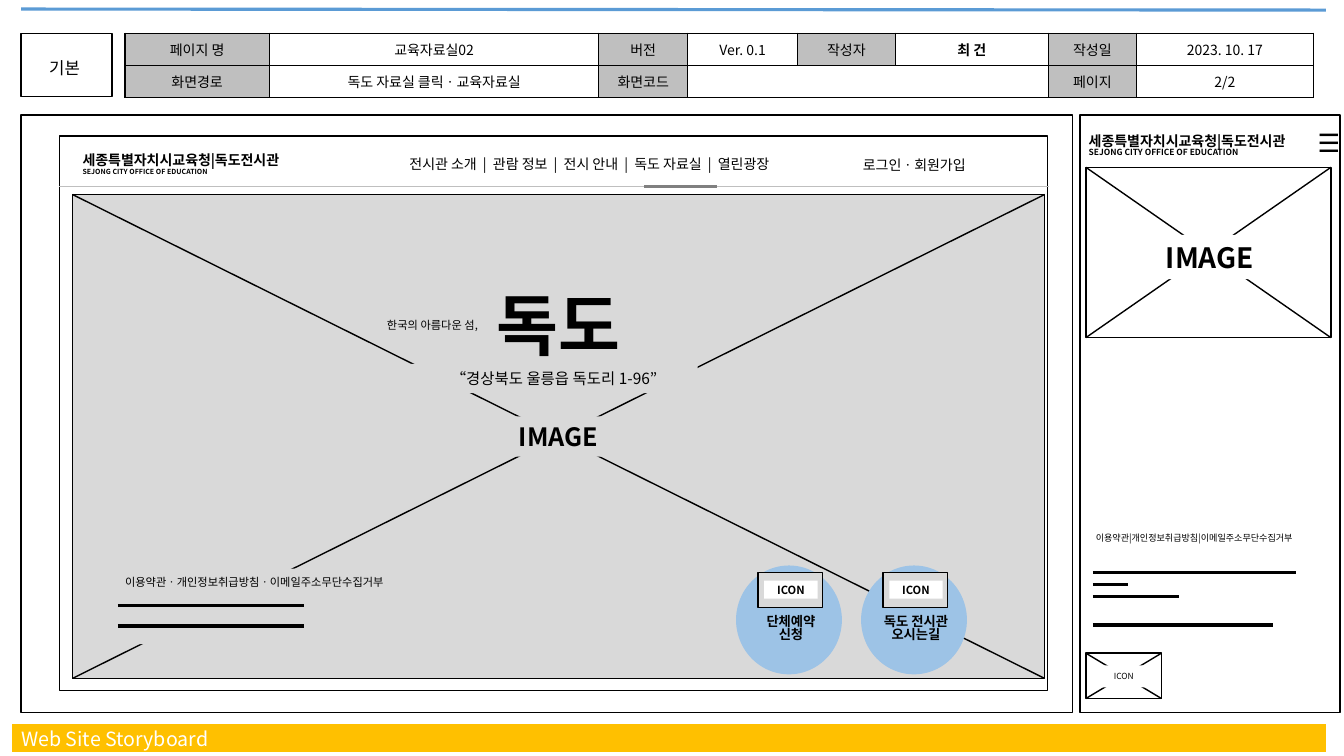
import dataclasses
import itertools

import lxml.etree
import pptx
import pptx.dml.color
import pptx.enum.shapes
import pptx.enum.text
import pptx.oxml
import pptx.oxml.ns
import pptx.util


@dataclasses.dataclass(frozen=True)
class Theme:
    font: str = "Noto Sans CJK KR"
    ink: str = "000000"
    paper: str = "FFFFFF"
    canvas: str = "D9D9D9"
    heading: str = "BFBFBF"
    active: str = "808080"
    button: str = "9DC3E6"
    top_rule: str = "5B9BD5"
    footer: str = "FFC000"
    thin: float = 0.5
    outline: float = 1
    bold_line: float = 2.25
    band: float = 20
    micro: float = 5
    tiny: float = 6
    legal: float = 6.5
    small: float = 8
    caption: float = 9.5
    body: float = 10
    address: float = 11
    mode: float = 12
    title: float = 14
    picture: float = 18
    mobile_picture: float = 20
    hero: float = 48
    tight: float = 0.85


theme = Theme()

storyboard = "Web Site Storyboard"
mode = "기본"
page_info = [
    ["페이지 명", "교육자료실02", "버전", "Ver. 0.1", "작성자", "최 건", "작성일", "2023. 10. 17"],
    ["화면경로", "독도 자료실 클릭ㆍ교육자료실", "화면코드", "", "", "", "페이지", "2/2"],
]
page_info_edges = [1.24, 2.67, 5.94, 6.82, 7.91, 8.88, 10.4, 11.27, 13.03]
page_info_headings = {(0, 0), (0, 2), (0, 4), (0, 6), (1, 0), (1, 2), (1, 6)}
author = (0, 5)

site_name = "세종특별자치시교육청|독도전시관"
site_english = "SEJONG CITY OFFICE OF EDUCATION"
menu = ["전시관 소개", "관람 정보", "전시 안내", "독도 자료실", "열린광장"]
account = "로그인ㆍ회원가입"
policies = ["이용약관", "개인정보취급방침", "이메일주소무단수집거부"]
hero_labels = [
    ("IMAGE", (3.78, 4.13, 3.52, 0.4), theme.picture, True),
    ("독도", (4.67, 2.76, 1.74, 0.91), theme.hero, True),
    ("한국의 아름다운 섬,", (3.69, 3.1, 1.2, 0.24), theme.small, False),
    ("“경상북도 울릉읍 독도리 1-96”", (4.07, 3.61, 2.85, 0.29), theme.address, False),
]
buttons = [["단체예약", "신청"], ["독도 전시관", "오시는길"]]
desktop_footer_lines = [(6.01, 1.85), (6.21, 1.85)]
mobile_footer_lines = [(5.68, 2.01), (5.8, 0.35), (5.92, 0.85), (6.2, 1.79)]

deck = pptx.Presentation()
deck.slide_width = pptx.util.Inches(13.33)
deck.slide_height = pptx.util.Inches(7.5)
slide = deck.slides.add_slide(deck.slide_layouts[5])
shapes = slide.shapes
Align = pptx.enum.text.PP_ALIGN
Shape = pptx.enum.shapes.MSO_SHAPE


def rgb(color):
    return pptx.dml.color.RGBColor.from_string(color)


def inches(box):
    return [pptx.util.Inches(length) for length in box]


def write(frame, lines, align=Align.CENTER, color=theme.ink, spacing=None):
    frame.word_wrap = True
    for index, (words, size, bold) in enumerate(lines):
        paragraph = frame.add_paragraph() if index else frame.paragraphs[0]
        paragraph.alignment = align
        if spacing:
            paragraph.line_spacing = spacing
        run = paragraph.add_run()
        run.text = words
        run.font.size = pptx.util.Pt(size)
        run.font.bold = bold
        run.font.name = theme.font
        run.font.color.rgb = rgb(color)
        east_asian = lxml.etree.SubElement(run.font._element, pptx.oxml.ns.qn("a:ea"))
        east_asian.set("typeface", theme.font)


def label(box, lines, align=Align.CENTER, spacing=None):
    text = shapes.add_textbox(*inches(box)).text_frame
    text.vertical_anchor = pptx.enum.text.MSO_ANCHOR.MIDDLE
    write(text, lines, align, spacing=spacing)


def panel(box, fill=theme.paper, outlined=True, kind=Shape.RECTANGLE):
    area = shapes.add_shape(kind, *inches(box))
    area.shadow.inherit = False
    area.fill.solid()
    area.fill.fore_color.rgb = rgb(fill)
    if outlined:
        area.line.color.rgb = rgb(theme.ink)
        area.line.width = pptx.util.Pt(theme.outline)
    else:
        area.line.fill.background()
    return area


def patch(box, words, size, bold=False, fill=theme.paper, align=Align.CENTER):
    write(panel(box, fill, False).text_frame, [(words, size, bold)], align)


def line(left, top, right, bottom, color=theme.ink, width=theme.outline):
    stroke = shapes.add_connector(
        pptx.enum.shapes.MSO_CONNECTOR.STRAIGHT, *inches((left, top, right, bottom)))
    stroke.line.color.rgb = rgb(color)
    stroke.line.width = pptx.util.Pt(width)
    lxml.etree.SubElement(stroke._element.spPr, pptx.oxml.ns.qn("a:effectLst"))


def crossed(box, fill=theme.paper):
    left, top, width, height = box
    panel(box, fill)
    line(left, top, left + width, top + height)
    line(left, top + height, left + width, top)


def text_bars(left, bars):
    for top, length in bars:
        line(left, top, left + length, top, width=theme.bold_line)


def fill_cell(cell, words, heading, bold):
    for side in ("L", "R", "T", "B"):
        cell._tc.get_or_add_tcPr().append(pptx.oxml.parse_xml(
            f'<a:ln{side} {pptx.oxml.ns.nsdecls("a")} w="{pptx.util.Pt(theme.outline)}">'
            f'<a:solidFill><a:srgbClr val="{theme.ink}"/></a:solidFill></a:ln{side}>'))
    cell.fill.solid()
    cell.fill.fore_color.rgb = rgb(theme.heading if heading else theme.paper)
    cell.margin_top = cell.margin_bottom = 0
    cell.margin_left = cell.margin_right = pptx.util.Inches(0.05)
    cell.vertical_anchor = pptx.enum.text.MSO_ANCHOR.MIDDLE
    write(cell.text_frame, [(words, theme.body, bold)] if words else [])
    if not words:
        cell.text_frame.paragraphs[0].font.size = pptx.util.Pt(theme.body)


def page_info_table():
    left, right = page_info_edges[0], page_info_edges[-1]
    table = shapes.add_table(2, 8, *inches((left, 0.33, right - left, 0.64))).table
    table.first_row = table.horz_banding = False
    for column, (start, end) in zip(table.columns, itertools.pairwise(page_info_edges)):
        column.width = pptx.util.Inches(end - start)
    for row, entries in enumerate(page_info):
        table.rows[row].height = pptx.util.Inches(0.32)
        for column, words in enumerate(entries):
            place = (row, column)
            fill_cell(table.cell(row, column), words, place in page_info_headings, place == author)
    table.cell(1, 3).merge(table.cell(1, 5))


def site_heading(box, english_size):
    names = [(site_name, theme.body, True), (site_english, english_size, True)]
    label(box, names, Align.LEFT, theme.tight)


def desktop():
    panel((0.21, 1.14, 10.43, 5.93))
    panel((0.59, 1.35, 9.8, 5.5))
    site_heading((0.72, 1.46, 2.52, 0.35), theme.micro)
    crossed((0.72, 1.93, 9.64, 4.8), theme.canvas)
    label((3.62, 1.49, 4.45, 0.27), [("  |  ".join(menu), theme.body, False)])
    label((8.46, 1.5, 1.32, 0.27), [(account, theme.body, False)], Align.LEFT)
    panel((0.78, 5.64, 2.41, 0.75), theme.canvas, False)
    patch((0.94, 5.65, 3.17, 0.24), "ㆍ".join(policies), theme.small, fill=theme.canvas)
    text_bars(1.17, desktop_footer_lines)
    for words, box, size, bold in hero_labels:
        patch(box, words, size, bold, theme.canvas)
    for index, caption in enumerate(buttons):
        left = 7.3 + 1.24 * index
        panel((left, 5.61, 1.05, 1.08), theme.button, False, Shape.OVAL)
        label((left + 0.07, 6.03, 0.95, 0.42),
              [(words, theme.caption, True) for words in caption], spacing=theme.tight)
        panel((left + 0.22, 5.68, 0.64, 0.35), theme.canvas)
        patch((left + 0.28, 5.76, 0.53, 0.18), "ICON", theme.small, True)
    line(0.59, 1.85, 10.4, 1.85, theme.heading, theme.thin)
    line(6.39, 1.85, 7.11, 1.85, theme.active, theme.bold_line)


def mobile():
    panel((10.71, 1.14, 2.58, 5.93))
    crossed((10.77, 1.66, 2.43, 1.69))
    patch((11.37, 2.33, 1.26, 0.44), "IMAGE", theme.mobile_picture, True)
    text_bars(10.84, mobile_footer_lines)
    crossed((10.77, 6.48, 0.75, 0.45))
    patch((10.89, 6.6, 0.51, 0.22), "ICON", theme.tiny)
    patch((10.77, 5.23, 2.46, 0.21), "|".join(policies), theme.legal, align=Align.LEFT)
    label((12.97, 1.19, 0.3, 0.44), [("☰", theme.picture, False)])
    site_heading((10.7, 1.25, 2.34, 0.4), theme.tiny)


def storyboard_title():
    line(0.12, 7.32, 13.15, 7.32, theme.footer, theme.band)
    title = shapes.title
    title.left, title.top, title.width, title.height = inches((0.11, 7.16, 2.61, 0.34))
    title.text_frame.auto_size = pptx.enum.text.MSO_AUTO_SIZE.NONE
    title.text_frame.vertical_anchor = pptx.enum.text.MSO_ANCHOR.MIDDLE
    write(title.text_frame, [(storyboard, theme.title, False)], Align.LEFT, theme.paper)
    shapes._spTree.append(title._element)


line(0.21, 0.09, 13.15, 0.1, theme.top_rule, theme.bold_line)
panel((0.21, 0.33, 0.9, 0.63))
label((0.39, 0.49, 0.54, 0.36), [(mode, theme.mode, False)], Align.LEFT)
page_info_table()
desktop()
mobile()
storyboard_title()
deck.save("out.pptx")
